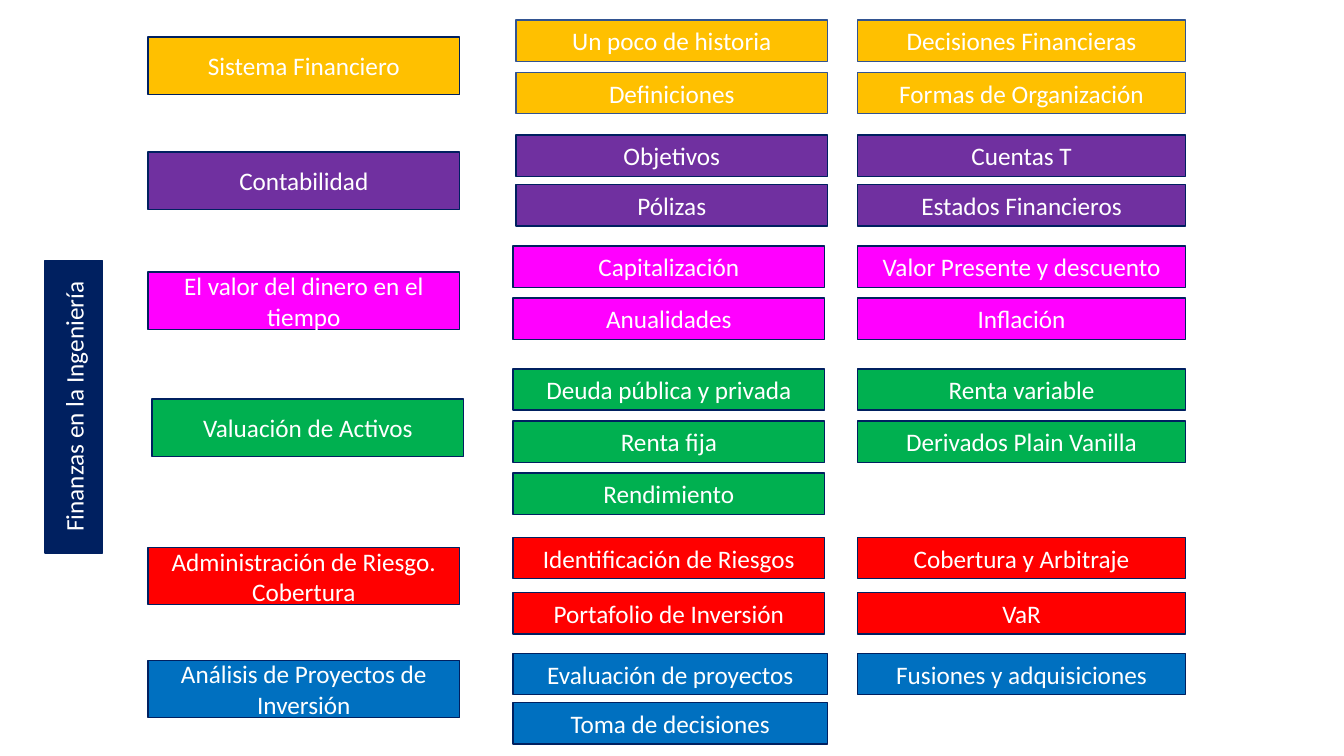
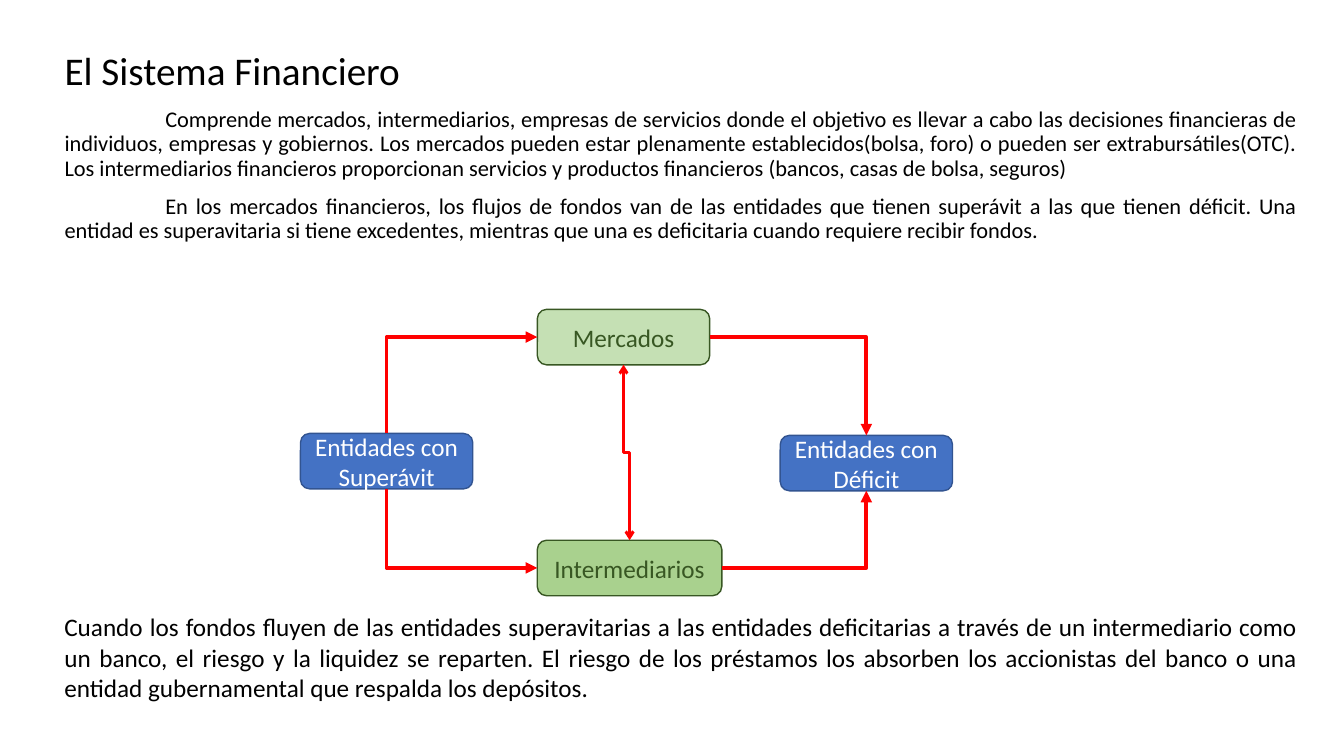
"""Builds two slides: the course map and the financial system diagram."""
import dataclasses
import typing

import lxml.etree
import pptx
import pptx.dml.color
import pptx.enum.shapes
import pptx.enum.text
import pptx.oxml
import pptx.oxml.ns
import pptx.util

Pt = pptx.util.Pt
Align = pptx.enum.text.PP_ALIGN
Anchor = pptx.enum.text.MSO_ANCHOR
Shape = pptx.enum.shapes.MSO_SHAPE
Lines = typing.Sequence[str]

FONT = "Calibri"
WHITE, BLACK, NAVY, RED = "FFFFFF", "000000", "002060", "FF0000"
BLUE, BLUE_EDGE, DARK_GREEN = "4472C4", "325491", "385723"
TEXT_LEFT, TEXT_WIDTH = 38.9, 895
TOPIC_SIZE = (222.5, 41)
ITEM_HEIGHT = 29.5
RIGHT_LEFT, RIGHT_WIDTH = 612.7, 234
TOP, LEFT, BOTTOM, RIGHT = range(4)


@dataclasses.dataclass
class Section:
    """One course topic and its two columns of items."""
    topic: Lines
    fill: str
    topic_top: float
    top: float
    step: float
    left_items: Lines
    right_items: Lines
    line: str = NAVY
    topic_left: float = 105.8
    left: float = 366.5
    left_width: float = 222.5


@dataclasses.dataclass
class Node:
    """One rounded box of the flow diagram."""
    name: str
    label: str
    left: float
    top: float
    fill: str
    line: str
    color: str
    width: float = 123.1
    height: float = 39.6


@dataclasses.dataclass
class Link:
    """A bent arrow between the sides of two nodes."""
    start: str
    start_side: int
    end: str
    end_side: int
    preset: str = "bentConnector2"
    width: float = 2.75
    head: str = ""
    tail: str = "triangle"


SECTIONS = [
    Section(["Sistema Financiero"], "FFC000", 26.6, 14.4, 37.4,
            ["Un poco de historia", "Definiciones"],
            ["Decisiones Financieras", "Formas de Organización"],
            line=BLUE_EDGE, left=368.6),
    Section(["Contabilidad"], "7030A0", 108.7, 96.5, 35.3,
            ["Objetivos", "Pólizas"], ["Cuentas T", "Estados Financieros"],
            left=368.6),
    Section(["El valor del dinero en el tiempo"], "FF00FF", 194.4, 175.7, 37.2,
            ["Capitalización", "Anualidades"],
            ["Valor Presente y descuento", "Inflación"]),
    Section(["Valuación de Activos"], "00B050", 285.1, 263.5, 37.2,
            ["Deuda pública y privada", "Renta fija", "Rendimiento"],
            ["Renta variable", "Derivados Plain Vanilla"], topic_left=108.7),
    Section(["Administración de Riesgo.", "Cobertura"], RED, 391, 383.8, 39.6,
            ["Identificación de Riesgos", "Portafolio de Inversión"],
            ["Cobertura y Arbitraje", "VaR"]),
    Section(["Análisis de Proyectos de Inversión"], "0070C0", 471.6, 466.6, 35.3,
            ["Evaluación de proyectos", "Toma de decisiones"],
            ["Fusiones y adquisiciones"], left_width=224.6),
]

NODES = [
    Node("surplus", "Entidades con Superávit", 214.6, 309.6, BLUE, BLUE_EDGE, WHITE),
    Node("deficit", "Entidades con Déficit", 557.3, 311, BLUE, BLUE_EDGE, WHITE),
    Node("markets", "Mercados", 383.8, 221, "C5E0B4", DARK_GREEN, DARK_GREEN),
    Node("brokers", "Intermediarios", 383.8, 385.9, "A9D18E", DARK_GREEN,
         DARK_GREEN, width=131.8),
]

LINKS = [
    Link("surplus", TOP, "markets", LEFT),
    Link("surplus", BOTTOM, "brokers", LEFT),
    Link("markets", RIGHT, "deficit", TOP),
    Link("brokers", RIGHT, "deficit", BOTTOM),
    Link("markets", BOTTOM, "brokers", TOP, "bentConnector3", 2, "arrow", "arrow"),
]

SYSTEM_TEXT = [
    "Comprende mercados, intermediarios, empresas de servicios donde el objetivo es "
    "llevar a cabo las decisiones financieras de individuos, empresas y gobiernos. "
    "Los mercados pueden estar plenamente establecidos(bolsa, foro) o pueden ser "
    "extrabursátiles(OTC). Los intermediarios financieros proporcionan servicios y "
    "productos financieros (bancos, casas de bolsa, seguros)",
    "En los mercados financieros, los flujos de fondos van de las entidades que "
    "tienen superávit a las que tienen déficit. Una entidad es superavitaria si "
    "tiene excedentes, mientras que una es deficitaria cuando requiere recibir fondos.",
]
CLOSING_TEXT = (
    "Cuando los fondos fluyen de las entidades superavitarias a las entidades "
    "deficitarias a través de un intermediario como un banco, el riesgo y la liquidez "
    "se reparten. El riesgo de los préstamos los absorben los accionistas del banco o "
    "una entidad gubernamental que respalda los depósitos.")


def rgb(value: str) -> pptx.dml.color.RGBColor:
    """Turn a hex string into a colour."""
    return pptx.dml.color.RGBColor.from_string(value)


def write(frame, lines: Lines, *, size: float = 18, color: str = BLACK,
          align=Align.LEFT, anchor=Anchor.TOP, spacing: float = 1,
          before: float = 0, indent: float = 0) -> None:
    """Fill a text frame with unbulleted paragraphs in one format."""
    frame.word_wrap = True
    frame.auto_size = pptx.enum.text.MSO_AUTO_SIZE.NONE
    frame.vertical_anchor = anchor
    for number, line in enumerate(lines):
        para = frame.add_paragraph() if number else frame.paragraphs[0]
        para.alignment = align
        para.line_spacing = spacing
        para.space_before = Pt(before)
        properties = para._p.get_or_add_pPr()
        properties.set("marL", "0")
        properties.set("indent", str(Pt(indent)))
        lxml.etree.SubElement(properties, pptx.oxml.ns.qn("a:buNone"))
        span = para.add_run()
        span.text = line
        span.font.name = FONT
        span.font.size = Pt(size)
        span.font.color.rgb = rgb(color)


def place(box, left: float, top: float, width: float, height: float) -> None:
    """Move and size a shape, in points."""
    box.left, box.top, box.width, box.height = map(Pt, (left, top, width, height))


def add_box(page, lines: Lines, left: float, top: float, width: float, height: float,
            *, fill: str, line: str = NAVY, color: str = WHITE,
            preset=Shape.RECTANGLE):
    """Add a filled, outlined box with centred text."""
    box = page.shapes.add_shape(preset, *map(Pt, (left, top, width, height)))
    box.shadow.inherit = False
    box.fill.solid()
    box.fill.fore_color.rgb = rgb(fill)
    box.line.color.rgb = rgb(line)
    box.line.width = Pt(1)
    write(box.text_frame, lines, color=color, align=Align.CENTER, anchor=Anchor.MIDDLE)
    return box


def side_point(box, side: int) -> tuple[int, int]:
    """Return the middle of one side of a box."""
    across, down = {TOP: (1, 0), LEFT: (0, 1), BOTTOM: (1, 2), RIGHT: (2, 1)}[side]
    return box.left + box.width * across // 2, box.top + box.height * down // 2


def add_link(page, link: Link, boxes: dict) -> None:
    """Add a bent arrow glued to two boxes."""
    start, end = boxes[link.start], boxes[link.end]
    x1, y1 = side_point(start, link.start_side)
    x2, y2 = side_point(end, link.end_side)
    arrow = page.shapes.add_connector(
        pptx.enum.shapes.MSO_CONNECTOR.ELBOW, x1, y1, x2, y2)
    arrow.begin_connect(start, link.start_side)
    arrow.end_connect(end, link.end_side)
    arrow.line.color.rgb = rgb(RED)
    arrow.line.width = Pt(link.width)

    # A path that leaves vertically is a horizontal one turned a quarter.
    vertical, upward = link.start_side in (TOP, BOTTOM), y2 < y1
    width, height = abs(x2 - x1), abs(y2 - y1)
    if vertical:
        width, height = height, width
    arrow.left, arrow.top = (x1 + x2 - width) // 2, (y1 + y2 - height) // 2
    arrow.width, arrow.height = width, height
    properties = arrow._element.spPr
    frame = properties.find(pptx.oxml.ns.qn("a:xfrm"))
    turn = (90 if upward else 270) if vertical else 0
    frame.set("rot", str(turn * 60000))
    frame.set("flipH", str(int(vertical)))
    frame.set("flipV", str(int(upward)))
    properties.find(pptx.oxml.ns.qn("a:prstGeom")).set("prst", link.preset)

    outline = arrow.line._get_or_add_ln()
    for tag, kind in (("a:headEnd", link.head), ("a:tailEnd", link.tail)):
        if kind:
            lxml.etree.SubElement(outline, pptx.oxml.ns.qn(tag), type=kind)
    lxml.etree.SubElement(properties, pptx.oxml.ns.qn("a:effectLst"))


def build_course_map(deck) -> None:
    """Draw the topics of the course and their items."""
    page = deck.slides.add_slide(deck.slide_layouts[6])
    course = add_box(page, ["Finanzas en la Ingeniería"], -51.8, 270, 208.8, 41,
                     fill=NAVY)
    course.rotation = 270
    for section in SECTIONS:
        add_box(page, section.topic, section.topic_left, section.topic_top,
                *TOPIC_SIZE, fill=section.fill)
        columns = ((section.left, section.left_width, section.left_items),
                   (RIGHT_LEFT, RIGHT_WIDTH, section.right_items))
        for left, width, items in columns:
            for row, item in enumerate(items):
                add_box(page, [item], left, section.top + row * section.step, width,
                        ITEM_HEIGHT, fill=section.fill, line=section.line)


def build_financial_system(deck) -> None:
    """Draw the explanation and the flow of funds."""
    page = deck.slides.add_slide(deck.slide_layouts[1])
    title, body = page.shapes.title, page.placeholders[1]
    place(title, TEXT_LEFT, 33.1, TEXT_WIDTH, 38)
    write(title.text_frame, ["El Sistema Financiero"], size=28, spacing=0.9)
    place(body, TEXT_LEFT, 73.8, TEXT_WIDTH, 110)
    write(body.text_frame, SYSTEM_TEXT, size=16, align=Align.JUSTIFY, spacing=0.9,
          before=10, indent=72)
    boxes = {
        node.name: add_box(page, [node.label], node.left, node.top, node.width,
                           node.height, fill=node.fill, line=node.line,
                           color=node.color, preset=Shape.ROUNDED_RECTANGLE)
        for node in NODES}
    for link in LINKS:
        add_link(page, link, boxes)
    closing = page.shapes.add_textbox(*map(Pt, (TEXT_LEFT, 433.4, TEXT_WIDTH, 72.7)))
    write(closing.text_frame, [CLOSING_TEXT], align=Align.JUSTIFY)


def main() -> None:
    """Build and save the deck."""
    deck = pptx.Presentation()
    deck.slide_width, deck.slide_height = Pt(960), Pt(540)
    build_course_map(deck)
    build_financial_system(deck)
    deck.save("out.pptx")


main()
